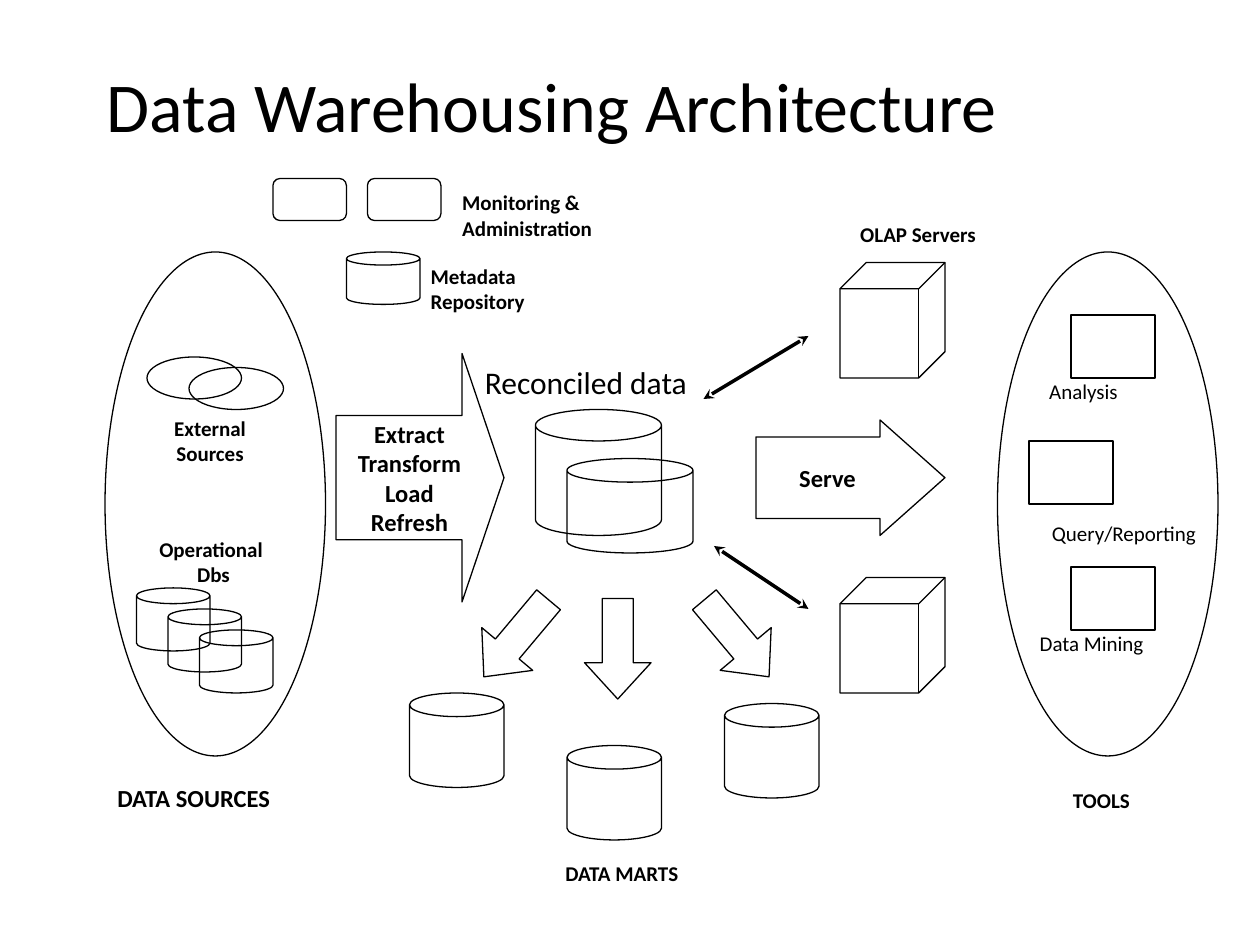
import pptx
import pptx.dml.color
import pptx.enum.shapes
import pptx.enum.text
import pptx.oxml
import pptx.util

Pt = pptx.util.Pt
SHAPE = pptx.enum.shapes.MSO_SHAPE
ALIGN = pptx.enum.text.PP_ALIGN
ANCHOR = pptx.enum.text.MSO_ANCHOR
FIT = pptx.enum.text.MSO_AUTO_SIZE
BLACK = pptx.dml.color.RGBColor(0, 0, 0)
WHITE = pptx.dml.color.RGBColor(255, 255, 255)
FONT = "Calibri"


def write(frame, text, size=12, bold=False, align=ALIGN.LEFT, anchor=ANCHOR.TOP,
          wrap=True, fit=FIT.NONE, spacing=None):
    """Fill a text frame, one paragraph for each line of text."""
    frame.word_wrap = wrap
    frame.auto_size = fit
    frame.vertical_anchor = anchor
    for index, line in enumerate(text.split("\n")):
        para = frame.paragraphs[0] if index == 0 else frame.add_paragraph()
        para.alignment = align
        if spacing:
            para.line_spacing = spacing
        span = para.add_run()
        span.text = line
        span.font.name = FONT
        span.font.size = Pt(size)
        span.font.bold = bold
        span.font.color.rgb = BLACK


def add_label(page, text, left, top, width, height, fit=FIT.SHAPE_TO_FIT_TEXT, **style):
    box = page.shapes.add_textbox(Pt(left), Pt(top), Pt(width), Pt(height))
    write(box.text_frame, text, fit=fit, **style)


def add_outline(page, kind, left, top, width, height, adjust=(), turn=0):
    """Add an unfilled preset shape with a thin black line."""
    shape = page.shapes.add_shape(kind, Pt(left), Pt(top), Pt(width), Pt(height))
    shape.shadow.inherit = False
    shape.fill.background()
    shape.line.color.rgb = BLACK
    shape.line.width = Pt(0.75)
    shape.rotation = turn
    for index, value in enumerate(adjust):
        shape.adjustments[index] = value
    return shape


def add_block_arrow(page, text, left, top, width, height, adjust, **style):
    arrow = add_outline(page, SHAPE.RIGHT_ARROW, left, top, width, height, adjust)
    write(arrow.text_frame, text, size=14, bold=True, align=ALIGN.CENTER,
          anchor=ANCHOR.MIDDLE, **style)


def add_two_way_link(page, x1, y1, x2, y2):
    link = page.shapes.add_connector(pptx.enum.shapes.MSO_CONNECTOR.STRAIGHT,
                                     Pt(x1), Pt(y1), Pt(x2), Pt(y2))
    link.line.color.rgb = BLACK
    link.line.width = Pt(2)
    line = link.line._get_or_add_ln()
    for end in ("a:headEnd", "a:tailEnd"):
        mark = pptx.oxml.xmlchemy.OxmlElement(end)
        mark.set("type", "stealth")
        line.append(mark)
    link._element.spPr.append(pptx.oxml.xmlchemy.OxmlElement("a:effectLst"))


def add_sources(page):
    add_outline(page, SHAPE.OVAL, 60, 144, 126, 288)
    for left, top in ((84, 204), (108, 210)):
        add_outline(page, SHAPE.OVAL, left, top, 54, 24)
    for step in range(3):
        add_outline(page, SHAPE.CAN, 78 + 18 * step, 336 + 12 * step, 42, 36, (0.25,))
    add_label(page, "External\nSources", 90.5, 234, 59, 36,
              bold=True, align=ALIGN.CENTER, wrap=False)
    add_label(page, "Operational \nDbs", 82, 303, 80, 36,
              bold=True, align=ALIGN.CENTER, wrap=False)
    add_label(page, "DATA SOURCES", 60, 444, 124, 24, size=14, bold=True, wrap=False)


def add_metadata(page):
    for left in (156, 210):
        add_outline(page, SHAPE.ROUNDED_RECTANGLE, left, 102, 42, 24, (0.167,))
    add_outline(page, SHAPE.CAN, 198, 144, 42, 30, (0.25,))
    add_label(page, "Monitoring &\nAdministration", 257, 105, 97, 36, bold=True)
    add_label(page, "Metadata\nRepository", 239, 147, 70.5, 36, bold=True, wrap=False)


def add_warehouse(page):
    add_block_arrow(page, "Extract Transform Load Refresh", 192, 202, 96, 142,
                    (0.5, 0.25), fit=FIT.SHAPE_TO_FIT_TEXT)
    add_outline(page, SHAPE.CAN, 306, 234, 72, 72, (0.25,))
    add_outline(page, SHAPE.CAN, 324, 262, 72, 54, (0.25,))
    add_label(page, "Reconciled data", 270, 204, 150, 29, size=18)


def add_marts(page):
    for left, top, turn in ((276, 336, 40), (334, 342, 0), (402, 336, 320)):
        add_outline(page, SHAPE.DOWN_ARROW, left, top, 38, 57.5, (0.466, 0.546), turn)
    for left, top in ((234, 396), (324, 426), (414, 402)):
        add_outline(page, SHAPE.CAN, left, top, 54, 54, (0.25,))
    add_label(page, "DATA MARTS", 316, 488, 94, 22, bold=True, wrap=False)


def add_servers(page):
    for top in (150, 330):
        add_outline(page, SHAPE.CUBE, 480, top, 60, 66, (0.25,))
    add_block_arrow(page, "Serve", 432, 240, 108, 66, (0.706, 0.562))
    add_two_way_link(page, 402, 228, 462, 192)
    add_two_way_link(page, 408, 312, 462, 348)
    add_label(page, "OLAP Servers", 484.5, 123, 89, 22, bold=True, wrap=False)


def add_tools(page):
    add_outline(page, SHAPE.OVAL, 570, 144, 126, 288)
    for row, left in enumerate((612, 588, 612)):
        add_outline(page, SHAPE.RECTANGLE, left, 180 + 72 * row, 48, 36)
    add_label(page, "Analysis", 592.5, 213, 56, 22, wrap=False)
    add_label(page, "Query/Reporting", 594, 294, 102, 22)
    add_label(page, "Data Mining", 587, 357, 75.5, 22, wrap=False)
    add_label(page, "TOOLS", 606, 446.5, 56, 22, bold=True, wrap=False)


def main():
    deck = pptx.Presentation()
    deck.slide_width, deck.slide_height = Pt(720), Pt(540)
    page = deck.slides.add_slide(deck.slide_layouts[6])
    page.background.fill.solid()
    page.background.fill.fore_color.rgb = WHITE
    add_label(page, "Data Warehousing Architecture", 54, 36, 612, 54, size=40,
              anchor=ANCHOR.MIDDLE, fit=FIT.NONE, spacing=0.9)
    for add_part in (add_sources, add_metadata, add_warehouse,
                     add_marts, add_servers, add_tools):
        add_part(page)
    deck.save("out.pptx")


if __name__ == "__main__":
    main()
